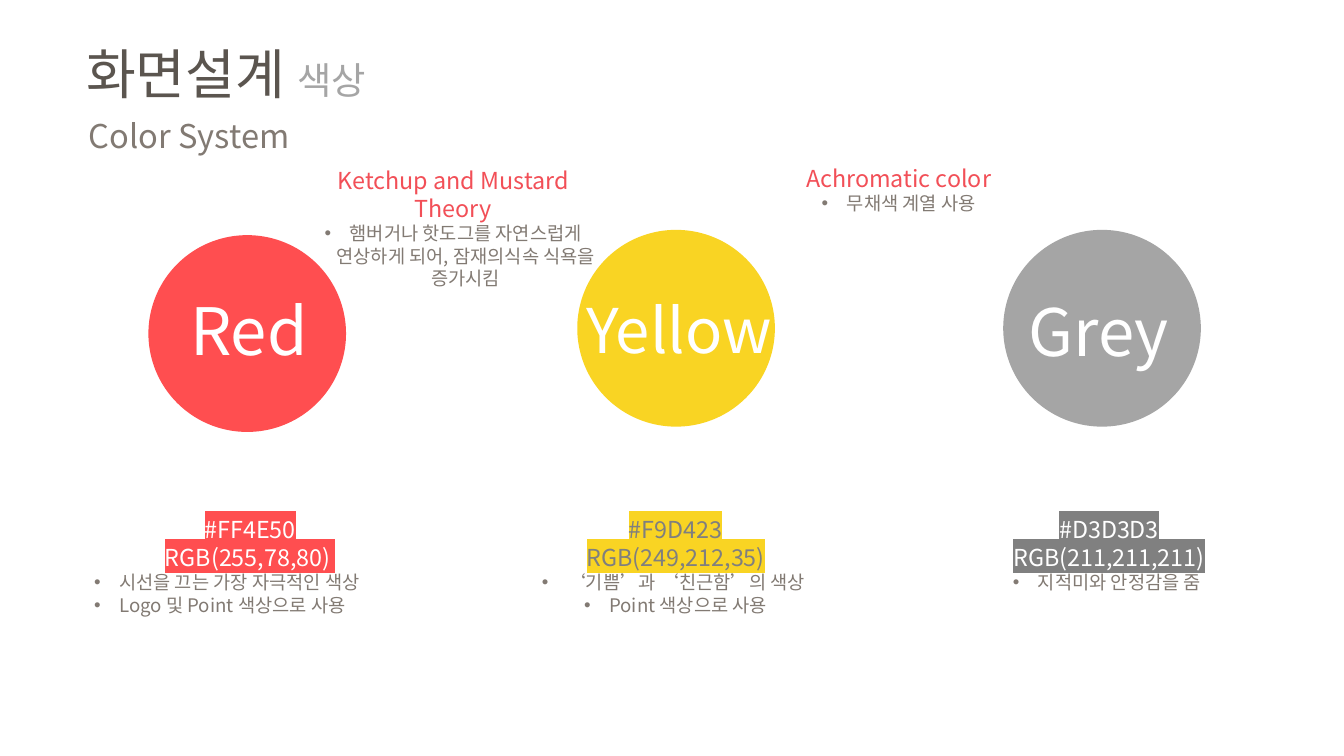
import pptx
import pptx.dml.color
import pptx.enum.shapes
import pptx.enum.text
import pptx.oxml.ns
import pptx.util
from lxml import etree
from pptx.util import Cm

FONT = "Noto Sans CJK KR"
COLOURS = {
    "title": "5B554F", "text": "827A73", "accent": "F24F57", "white": "FFFFFF",
    "red": "FF4E50", "yellow": "F9D423", "grey": "A5A5A5",
    "dark grey": "808080", "code grey": "7F7F7F",
}
ALIGN = pptx.enum.text.PP_ALIGN
CIRCLE_WIDTH, CIRCLE_HEIGHT = 7.47, 7.44
NOTE_WIDTH = 12.32

SWATCHES = [
    dict(name="Red", fill="red", circle=(5.61, 8.89), label=(6.12, 10.85, 6.58),
         size=70, note_left=3.3, code_colour="white", highlight="red",
         codes=["#FF4E50", "RGB(255,78,80) "], align=ALIGN.JUSTIFY,
         uses=["시선을 끄는 가장 자극적인 색상", "Logo 및 Point 색상으로 사용"]),
    dict(name="Yellow", fill="yellow", circle=(21.82, 8.69), label=(21.67, 10.9, 7.98),
         size=66, note_left=19.38, code_colour="code grey", highlight="yellow",
         codes=["#F9D423", "RGB(249,212,35)"], align=ALIGN.CENTER,
         uses=["‘기쁨’과 ‘친근함’의 색상 ", "Point 색상으로 사용"]),
    dict(name="Grey", fill="grey", circle=(37.92, 8.69), label=(38.25, 10.87, 6.58),
         size=70, note_left=35.76, code_colour="white", highlight="dark grey",
         codes=["#D3D3D3", "RGB(211,211,211)"], align=ALIGN.CENTER,
         uses=["지적미와 안정감을 줌 "]),
]
THEORIES = [
    ((10.97, 6.15, NOTE_WIDTH, 6.15), "Ketchup and Mustard Theory",
     "햄버거나 핫도그를 자연스럽게 연상하게 되어, 잠재의식속 식욕을 증가시킴"),
    ((27.81, 6.07, NOTE_WIDTH, 3.38), "Achromatic color", "무채색 계열 사용"),
]


def rgb(name):
    return pptx.dml.color.RGBColor.from_string(COLOURS[name])


def place(shape, left, top, width, height):
    shape.left, shape.top, shape.width, shape.height = map(Cm, (left, top, width, height))
    frame = shape.text_frame
    frame.word_wrap = True
    frame.auto_size = pptx.enum.text.MSO_AUTO_SIZE.NONE
    frame.vertical_anchor = pptx.enum.text.MSO_ANCHOR.TOP
    return frame


def add_text_box(page, box):
    return place(page.shapes.add_textbox(0, 0, 0, 0), *box)


def add_span(para, text, size, colour, highlight=None):
    span = para.add_run()
    span.text = text
    font = span.font
    font.name, font.size, font.bold = FONT, pptx.util.Pt(size), False
    font.color.rgb = rgb(colour)
    properties = font._element
    east_asian = etree.SubElement(properties, pptx.oxml.ns.qn("a:ea"), typeface=FONT)
    properties.find(pptx.oxml.ns.qn("a:latin")).addnext(east_asian)
    if highlight:
        mark = etree.Element(pptx.oxml.ns.qn("a:highlight"))
        etree.SubElement(mark, pptx.oxml.ns.qn("a:srgbClr"), val=COLOURS[highlight])
        properties.find(pptx.oxml.ns.qn("a:solidFill")).addnext(mark)


def add_para(frame, text, size, colour, align=ALIGN.CENTER, bullet=False, highlight=None):
    """Fill the empty first paragraph, or append a new one."""
    para = frame.paragraphs[0]
    if para.runs:
        para = frame.add_paragraph()
    para.alignment = align
    para.line_spacing = 1.0
    para.space_before = para.space_after = pptx.util.Pt(0)
    properties = para._p.get_or_add_pPr()
    indent = Cm(0.95) if bullet else 0
    properties.set("marL", str(indent))
    properties.set("indent", str(-indent))
    if bullet:
        colour_mark = etree.SubElement(properties, pptx.oxml.ns.qn("a:buClr"))
        etree.SubElement(colour_mark, pptx.oxml.ns.qn("a:srgbClr"), val=COLOURS["text"])
        etree.SubElement(properties, pptx.oxml.ns.qn("a:buFont"), typeface="Arial")
        etree.SubElement(properties, pptx.oxml.ns.qn("a:buChar"), char="•")
    else:
        etree.SubElement(properties, pptx.oxml.ns.qn("a:buNone"))
    add_span(para, text, size, colour, highlight)
    return para


def add_heading(title, subtitle):
    frame = place(title, 3, 1.4, 29.85, 2.62)
    para = add_para(frame, "화면설계 ", 58, "title", ALIGN.JUSTIFY)
    add_span(para, "색상", 40, "grey")
    frame = place(subtitle, 3.1, 4.27, 14.05, 1.55)
    add_para(frame, "Color System ", 35, "text", ALIGN.JUSTIFY)


def add_swatch(page, notes, swatch):
    """Place a coloured circle, its name and the notes below it."""
    left, top = swatch["circle"]
    circle = page.shapes.add_shape(
        pptx.enum.shapes.MSO_SHAPE.OVAL, Cm(left), Cm(top), Cm(CIRCLE_WIDTH), Cm(CIRCLE_HEIGHT))
    circle.shadow.inherit = False
    circle.fill.solid()
    circle.fill.fore_color.rgb = rgb(swatch["fill"])
    circle.line.fill.background()
    label = add_text_box(page, (*swatch["label"], 3.15))
    add_para(label, swatch["name"], swatch["size"], "white")

    frame = place(notes, swatch["note_left"], 19.35, NOTE_WIDTH, 6.15)
    for code in swatch["codes"]:
        add_para(frame, code, 25, swatch["code_colour"], highlight=swatch["highlight"])
    for use in swatch["uses"]:
        add_para(frame, use, 20, "text", swatch["align"], bullet=True)


def add_theory(page, box, heading, point):
    frame = add_text_box(page, box)
    add_para(frame, heading, 25, "accent")
    add_para(frame, point, 20, "text", bullet=True)


def main():
    deck = pptx.Presentation()
    deck.slide_width, deck.slide_height = Cm(50.8), Cm(28.58)
    comparison_layout = deck.slide_layouts[4]
    page = deck.slides.add_slide(comparison_layout)
    title, subtitle, *notes = list(page.placeholders)[:5]
    add_heading(title, subtitle)
    for holder, swatch in zip(notes, SWATCHES):
        add_swatch(page, holder, swatch)
    for theory in THEORIES:
        add_theory(page, *theory)
    deck.save("out.pptx")


if __name__ == "__main__":
    main()
